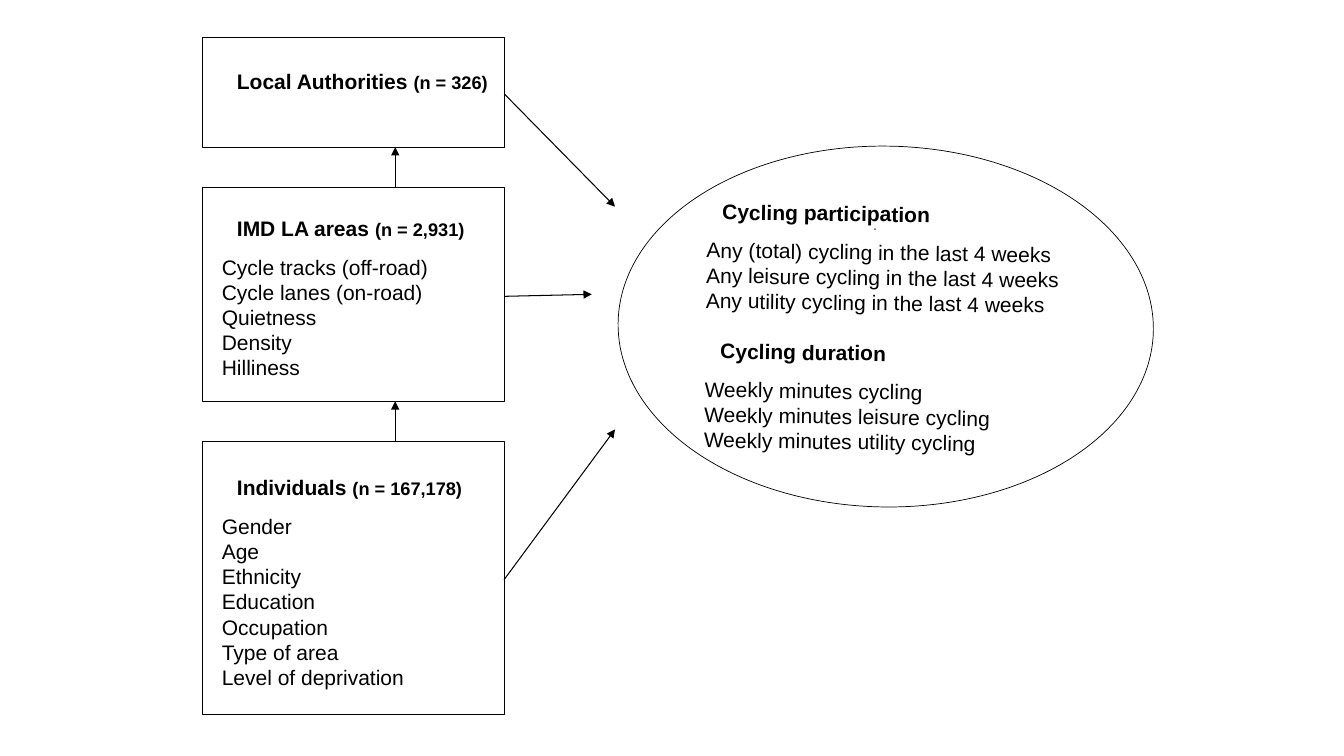
from dataclasses import dataclass

from lxml.etree import SubElement
from pptx import Presentation
from pptx.dml.color import RGBColor
from pptx.enum.shapes import MSO_CONNECTOR, MSO_SHAPE
from pptx.enum.text import MSO_ANCHOR, PP_ALIGN
from pptx.oxml.ns import qn
from pptx.util import Pt

EMU_PER_PX = 9144


@dataclass(frozen=True)
class Theme:
    font: str = "Arial"
    ink: RGBColor = RGBColor(0, 0, 0)
    paper: RGBColor = RGBColor(255, 255, 255)
    body: float = 15
    count: float = 13
    dot: float = 4
    pitch: float = 18
    dot_pitch: float = 5
    gap: float = 9.5
    outline: float = 0.5
    arrow: float = 0.75


THEME = Theme()
HEADING_INDENT = 15
DOT_INDENT = 166

LEVELS = [
    # box, top inset, heading, count, items
    ((201, 37, 299, 109), 31, "Local Authorities ", "(n = 326)", []),
    ((201, 186, 299, 212), 28, "IMD LA areas ", "(n = 2,931)",
     ["Cycle tracks (off-road)", "Cycle lanes (on-road)", "Quietness", "Density", "Hilliness"]),
    ((201, 438, 299, 271), 33, "Individuals ", "(n = 167,178)",
     ["Gender", "Age", "Ethnicity", "Education", "Occupation", "Type of area",
      "Level of deprivation"]),
]
PARTICIPATION = [f"Any {kind} cycling in the last 4 weeks" for kind in ("(total)", "leisure", "utility")]
DURATION = [f"Weekly minutes {kind}cycling" for kind in ("", "leisure ", "utility ")]
OUTCOME_TARGETS = [(610, 205), (587, 292), (610, 426)]
UPWARD_ARROW_X = 392


def px(length):
    return round(length * EMU_PER_PX)


def add_panel(page, preset, box, left_inset, top_inset):
    """Draw an outlined shape and return it ready for top-left text."""
    panel = page.shapes.add_shape(preset, *map(px, box))
    panel.shadow.inherit = False
    panel.fill.solid()
    panel.fill.fore_color.rgb = THEME.paper
    panel.line.color.rgb = THEME.ink
    panel.line.width = Pt(THEME.outline)
    frame = panel.text_frame
    frame.word_wrap = True
    frame.vertical_anchor = MSO_ANCHOR.TOP
    frame.margin_left, frame.margin_top = px(left_inset), px(top_inset)
    frame.margin_right = frame.margin_bottom = 0
    return panel


def add_line(frame, spans, indent=0, before=0, pitch=THEME.pitch):
    """Append a paragraph of (text, size, bold) spans, using the empty first one if free."""
    first = frame.paragraphs[0]
    para = frame.add_paragraph() if first.runs else first
    para.alignment = PP_ALIGN.LEFT
    para.line_spacing = Pt(pitch)
    para.space_before = Pt(before)
    if indent:
        para._p.get_or_add_pPr().set("marL", str(px(indent)))
    for text, size, bold in spans:
        span = para.add_run()
        span.text = text
        span.font.name = THEME.font
        span.font.size = Pt(size)
        span.font.bold = bold
        span.font.color.rgb = THEME.ink


def add_heading(frame, text, count="", before=0):
    spans = [(text, THEME.body, True)]
    if count:
        spans.append((count, THEME.count, True))
    add_line(frame, spans, HEADING_INDENT, before)


def add_items(frame, items, gap=THEME.gap):
    for index, item in enumerate(items):
        add_line(frame, [(item, THEME.body, False)], before=0 if index else gap)


def add_level(page, box, top_inset, heading, count, items):
    frame = add_panel(page, MSO_SHAPE.RECTANGLE, box, 19, top_inset).text_frame
    add_heading(frame, heading, count)
    add_items(frame, items)


def add_outcomes(page, box):
    oval = add_panel(page, MSO_SHAPE.OVAL, box, 9, 2)
    oval.rotation = 0.8
    frame = oval.text_frame
    add_heading(frame, "Cycling participation")
    add_line(frame, [("•", THEME.dot, False)], DOT_INDENT, pitch=THEME.dot_pitch)
    add_items(frame, PARTICIPATION, THEME.gap - THEME.dot_pitch)
    add_heading(frame, "Cycling duration", before=THEME.pitch)
    add_items(frame, DURATION)


def add_arrow(page, start, end):
    arrow = page.shapes.add_connector(MSO_CONNECTOR.STRAIGHT, *map(px, (*start, *end)))
    arrow.line.color.rgb = THEME.ink
    arrow.line.width = Pt(THEME.arrow)
    SubElement(arrow.line._get_or_add_ln(), qn("a:tailEnd"), type="triangle")
    SubElement(arrow._element.spPr, qn("a:effectLst"))


def add_arrows(page, boxes):
    """Link each level to the outcomes, and to the level above it."""
    for (left, top, width, height), target in zip(boxes, OUTCOME_TARGETS):
        add_arrow(page, (left + width, top + height // 2 + 2), target)
    for upper, lower in zip(boxes, boxes[1:]):
        add_arrow(page, (UPWARD_ARROW_X, lower[1]), (UPWARD_ARROW_X, upper[1] + upper[3]))


def main():
    deck = Presentation()
    deck.slide_width, deck.slide_height = px(1333), px(750)
    page = deck.slides.add_slide(deck.slide_layouts[6])
    for level in LEVELS:
        add_level(page, *level)
    add_outcomes(page, (613, 145, 531, 358))
    add_arrows(page, [level[0] for level in LEVELS])
    deck.save("out.pptx")


if __name__ == "__main__":
    main()
